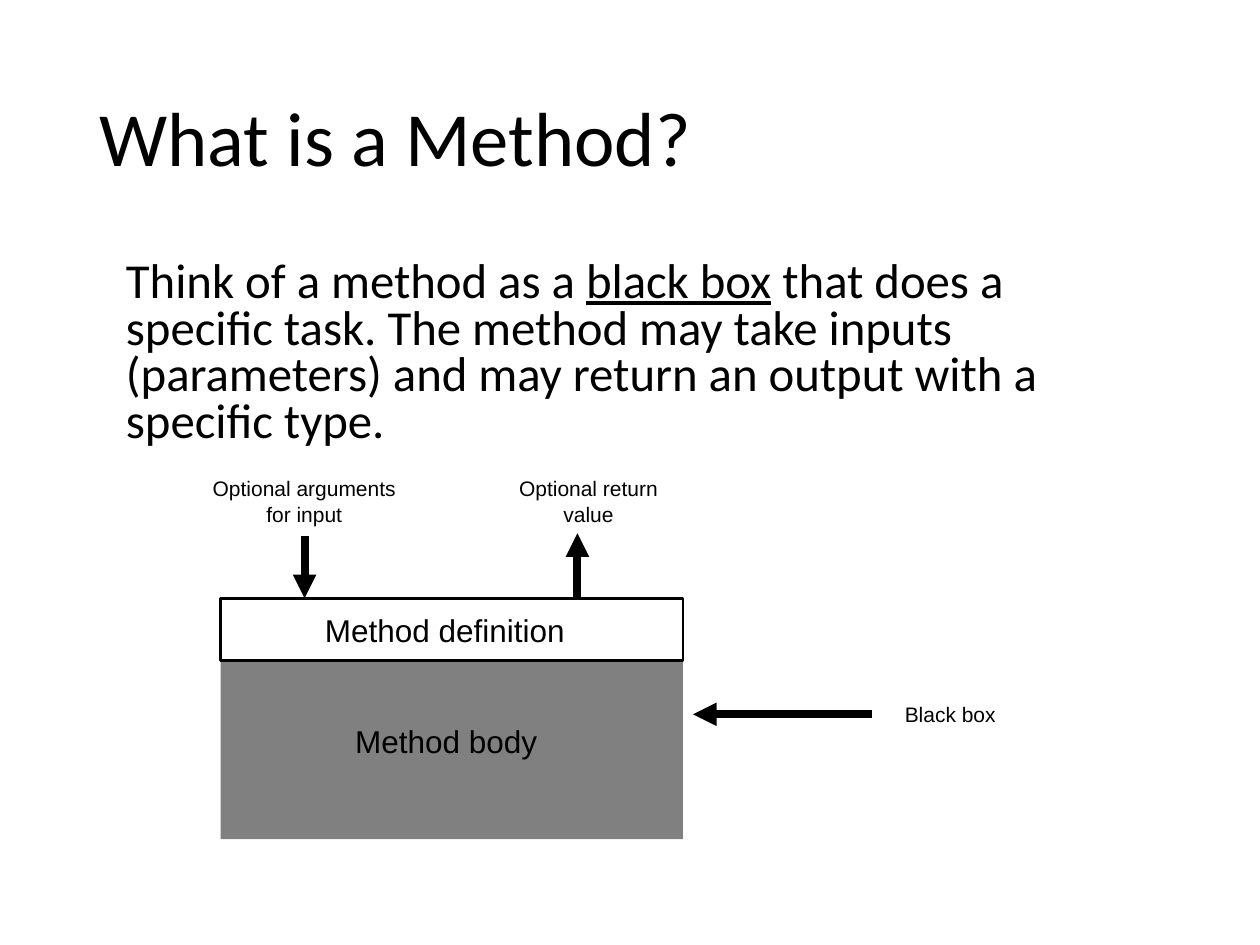
from lxml import etree
from pptx import Presentation
from pptx import util as u
from pptx.dml.color import RGBColor
from pptx.enum import shapes, text
from pptx.oxml.ns import qn

BLACK, WHITE, GRAY = "000000", "FFFFFF", "808080"


def color(value):
    return RGBColor.from_string(value)


def add_text(slide, box, runs, size, font="Arial", anchor=text.MSO_ANCHOR.TOP, **para):
    """Add one paragraph; runs are (text, underline) pairs."""
    tf = slide.shapes.add_textbox(*map(u.Cm, box)).text_frame
    tf.word_wrap = True
    tf.vertical_anchor = anchor
    p = tf.paragraphs[0]
    for name, value in para.items():
        setattr(p, name, value)
    for content, underline in runs:
        r = p.add_run()
        r.text = content
        style = {"name": font, "size": u.Pt(size), "underline": underline}
        for name, value in style.items():
            setattr(r.font, name, value)
        r.font.color.rgb = color(BLACK)


def add_label(slide, box, content, size=12, align=text.PP_ALIGN.LEFT):
    add_text(slide, box, [(content, None)], size, alignment=align)


def add_box(slide, box, fill, line=None):
    sp = slide.shapes.add_shape(shapes.MSO_SHAPE.RECTANGLE, *map(u.Cm, box))
    sp.shadow.inherit = False
    sp.fill.solid()
    sp.fill.fore_color.rgb = color(fill)
    if line:
        sp.line.color.rgb = color(line)
        sp.line.width = u.Pt(1.5)
    else:
        sp.line.fill.background()


def add_arrow(slide, *ends):
    sp = slide.shapes.add_connector(shapes.MSO_CONNECTOR.STRAIGHT, *map(u.Cm, ends))
    sp.line.color.rgb = color(BLACK)
    sp.line.width = u.Pt(4.5)
    etree.SubElement(sp.line._get_or_add_ln(), qn("a:tailEnd"), type="triangle")
    etree.SubElement(sp._element.spPr, qn("a:effectLst"))


def main():
    prs = Presentation()
    prs.slide_width, prs.slide_height = u.Cm(25.4), u.Cm(19.05)
    slide = prs.slides.add_slide(prs.slide_layouts[6])

    # Title and explanation
    add_text(slide, (1.75, 1.02, 21.9, 3.68), [("What is a Method?", None)], 43.8,
             "Calibri", text.MSO_ANCHOR.MIDDLE, line_spacing=0.9)
    add_text(slide, (2.29, 5.13, 20.95, 4.29), [
        ("Think of a method as a ", None),
        ("black box", True),
        (" that does a specific task. The method may take inputs (parameters) "
         "and may return an output with a specific type.", None),
    ], 27.9, "Calibri", line_spacing=0.8, space_before=u.Pt(7.5))

    # Method: body below its definition
    left, width, top, mid = 4.45, 9.32, 12.06, 13.32
    add_box(slide, (left, mid, width, 3.6), GRAY)
    add_box(slide, (left, top, width, mid - top), WHITE, BLACK)

    # Arrows: black box, input, output
    add_arrow(slide, 17.57, 14.4, 13.97, 14.4)
    add_arrow(slide, 6.14, 10.8, 6.14, top)
    add_arrow(slide, 11.64, top, 11.64, 10.75)

    # Labels
    add_label(slide, (17.99, 14.01, 3.6, 0.77), "Black box")
    for x, content in ((4.02, "Optional arguments for input"),
                       (9.75, "Optional return value")):
        add_label(slide, (x, 9.47, 4.23, 1.28), content, align=text.PP_ALIGN.CENTER)
    add_label(slide, (6.3, 12.2, 5.5, 1.02), "Method definition", 18)
    add_label(slide, (6.91, 14.43, 4.4, 1.02), "Method body", 18)

    prs.save("out.pptx")


if __name__ == "__main__":
    main()
